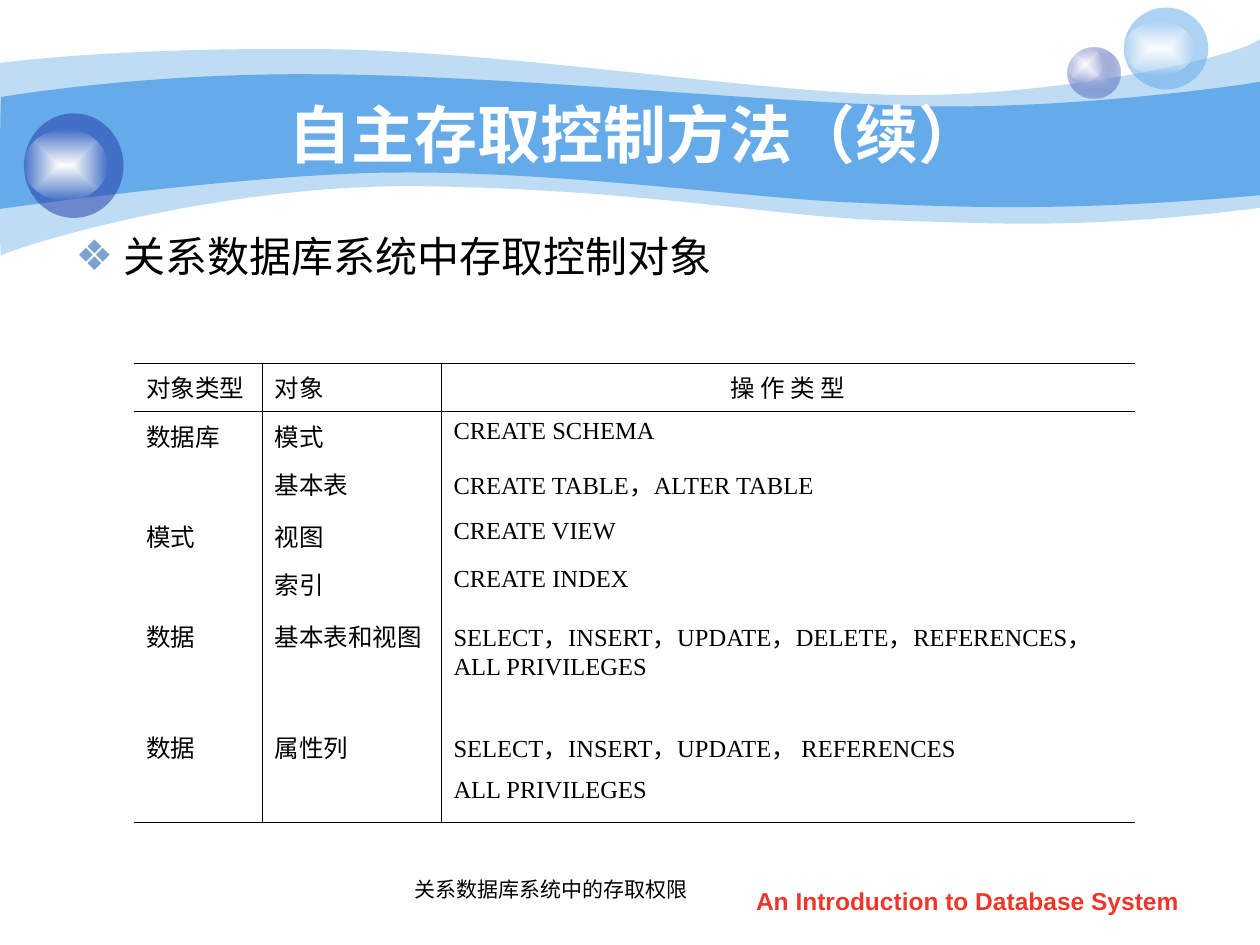
"""Build the slide on access control objects in relational database systems."""
import pptx
import pptx.dml.color
import pptx.enum.shapes
import pptx.enum.text
import pptx.oxml.ns
import pptx.util
from lxml import etree

PX = 9144
qn = pptx.oxml.ns.qn
ALIGN = pptx.enum.text.PP_ALIGN
ANCHOR = pptx.enum.text.MSO_ANCHOR
FIT = pptx.enum.text.MSO_AUTO_SIZE


def paint(owner, *stops):
    """Fill a shape or font with one (hex, opacity) stop, or a centred gradient of two."""
    colours = [pptx.dml.color.RGBColor.from_string(value) for value, opacity in stops]
    if len(stops) == 1:
        owner.fill.solid()
        owner.fill.fore_color.rgb = colours[0]
    else:
        owner.fill.gradient()
        for stop, colour in zip(owner.fill.gradient_stops, colours):
            stop.color.rgb = colour
        gradient = owner.element.spPr.find(qn("a:gradFill"))
        gradient.remove(gradient.find(qn("a:lin")))
        focus = etree.SubElement(gradient, qn("a:path"), {"path": "rect"})
        etree.SubElement(focus, qn("a:fillToRect"), {side: "50000" for side in "ltrb"})
    if hasattr(owner, "element"):
        owner.line.fill.background()
        owner.shadow.inherit = False
        for node, (value, opacity) in zip(owner.element.spPr.iter(qn("a:srgbClr")), stops):
            if opacity < 100:
                etree.SubElement(node, qn("a:alpha"), {"val": str(opacity * 1000)})


def write(frame, text, size=14, face="Times New Roman", colour="000000", bold=False,
          align=ALIGN.LEFT, anchor=ANCHOR.TOP, hang=0, before=0, bullet=None, wrap=True):
    """Write the lines of text into a frame as formatted paragraphs."""
    frame.word_wrap = wrap
    frame.vertical_anchor = anchor
    for index, line in enumerate(text.split("\n")):
        paragraph = frame.add_paragraph() if index else frame.paragraphs[0]
        paragraph.alignment = align
        paragraph.space_before = pptx.util.Pt(before)
        run = paragraph.add_run()
        run.text = line
        run.font.size = pptx.util.Pt(size)
        run.font.name = face
        run.font.bold = bold
        paint(run.font, (colour, 100))
        properties = paragraph._p.get_or_add_pPr()
        properties.set("marL", str(hang * PX))
        properties.set("indent", str(-hang * PX))
        if bullet:
            tint = etree.SubElement(properties, qn("a:buClr"))
            etree.SubElement(tint, qn("a:srgbClr"), {"val": "7DA0D3"})
            etree.SubElement(properties, qn("a:buChar"), {"char": bullet})


deck = pptx.Presentation()
deck.slide_width, deck.slide_height = 1000 * PX, 750 * PX
slide = deck.slides.add_slide(deck.slide_layouts[1])
shapes = slide.shapes

waves = [
    ("65AAE9", 41, (0, 50), [
        [(24, 47), (107, 38), (247, 39)], [(386, 39), (575, 70), (699, 75)],
        [(822, 80), (980, 47), (1000, 31)], [(1000, 165)],
        [(858, 183), (787, 177), (705, 175)], [(622, 173), (515, 151), (343, 148)],
        [(172, 144), (4, 199), (1, 203)], [(-1, 208), (0, 75), (0, 50)]]),
    ("65AAE9", 100, (1, 77), [
        [(2, 77), (110, 58), (248, 59)], [(386, 59), (595, 80), (718, 84)],
        [(841, 88), (976, 69), (1000, 65)], [(1000, 155)],
        [(853, 168), (765, 165), (682, 161)], [(599, 158), (447, 136), (317, 137)],
        [(203, 137), (-2, 166), (-1, 166)], [(0, 166), (0, 77), (1, 77)]]),
]
for colour, opacity, start, segments in waves:
    builder = shapes.build_freeform(*start, scale=PX)
    builder.add_line_segments([point for segment in segments for point in segment])
    wave = builder.convert_to_shape()
    paint(wave, (colour, opacity))
    steps = iter(list(wave.element.iter(qn("a:lnTo"))))
    for segment in segments:
        corners = [next(steps) for point in segment]
        if len(corners) == 3:
            curve = etree.Element(qn("a:cubicBezTo"))
            corners[0].addprevious(curve)
            for corner in corners:
                curve.append(corner[0])
                corner.getparent().remove(corner)

glow = [("FFFFFF", 100), ("FFFFFF", 0)]
bubbles = [
    ((847, 38, 42, 40), [("C7CEE9", 100), ("233DA9", 31)]),
    ((847, 38, 28, 27), glow),
    ((892, 6, 67, 65), [("65AAE9", 53)]),
    ((892, 17, 56, 43), glow),
    ((19, 90, 79, 83), [("233DA9", 53)]),
    ((19, 103, 66, 56), glow),
]
for box, stops in bubbles:
    bubble = shapes.add_shape(pptx.enum.shapes.MSO_SHAPE.OVAL, *(v * PX for v in box))
    paint(bubble, *stops)

footer = shapes.add_textbox(571 * PX, 698 * PX, 394 * PX, 35 * PX)
write(footer.text_frame, "An Introduction to Database System", face="Arial",
      colour="F03628", bold=True, align=ALIGN.CENTER)

heading, topic = shapes.title, slide.placeholders[1]
for holder, box in ((heading, (100, 75, 808, 62)), (topic, (50, 178, 899, 214))):
    holder.left, holder.top, holder.width, holder.height = (v * PX for v in box)
    holder.text_frame.auto_size = FIT.NONE
    shapes.element.append(holder.element)
write(heading.text_frame, "自主存取控制方法（续）", size=36, face="Arial",
      colour="FFFFFF", bold=True, align=ALIGN.CENTER, anchor=ANCHOR.MIDDLE)
write(topic.text_frame, "关系数据库系统中存取控制对象", size=24, face="Arial",
      hang=38, before=6, bullet="❖")

privileges = [
    ("对象类型", "对象", "操 作 类 型"),
    ("数据库", "模式", "CREATE SCHEMA"),
    ("", "基本表", "CREATE TABLE，ALTER TABLE"),
    ("模式", "视图", "CREATE VIEW"),
    ("", "索引", "CREATE INDEX"),
    ("数据", "基本表和视图", "SELECT，INSERT，UPDATE，DELETE，REFERENCES，\nALL PRIVILEGES"),
    ("数据", "属性列", "SELECT，INSERT，UPDATE， REFERENCES"),
    ("", "", "ALL PRIVILEGES"),
]
widths = [102, 142, 551]
heights = [34, 34, 41, 34, 41, 57, 34, 41]
grid = shapes.add_table(len(heights), len(widths), 106 * PX, 288 * PX,
                        sum(widths) * PX, sum(heights) * PX).table
grid.first_row = grid.horz_banding = False
for column, width in zip(grid.columns, widths):
    column.width = width * PX
for r, entries in enumerate(privileges):
    grid.rows[r].height = heights[r] * PX
    for c, entry in enumerate(entries):
        cell = grid.cell(r, c)
        if entry:
            centred = r == 0 and c == 2
            write(cell.text_frame, entry, hang=38,
                  align=ALIGN.CENTER if centred else ALIGN.LEFT)
        ruled = {"lnL": c > 0, "lnR": c < 2, "lnT": r < 2, "lnB": r in (0, 7)}
        for side, drawn in ruled.items():
            edge = etree.SubElement(cell._tc.get_or_add_tcPr(), qn("a:" + side), {"w": "5715"})
            ink = etree.SubElement(edge, qn("a:solidFill" if drawn else "a:noFill"))
            if drawn:
                etree.SubElement(ink, qn("a:srgbClr"), {"val": "000000"})
        cell.fill.background()

caption = shapes.add_textbox(319 * PX, 682 * PX, 242 * PX, 40 * PX)
caption.text_frame.auto_size = FIT.SHAPE_TO_FIT_TEXT
write(caption.text_frame, "关系数据库系统中的存取权限", size=12, anchor=ANCHOR.MIDDLE, wrap=False)
gap = caption.text_frame.paragraphs[0].add_run()
gap.text = " "
gap.font.size = pptx.util.Pt(18)
gap.font.bold = True

deck.save("out.pptx")
